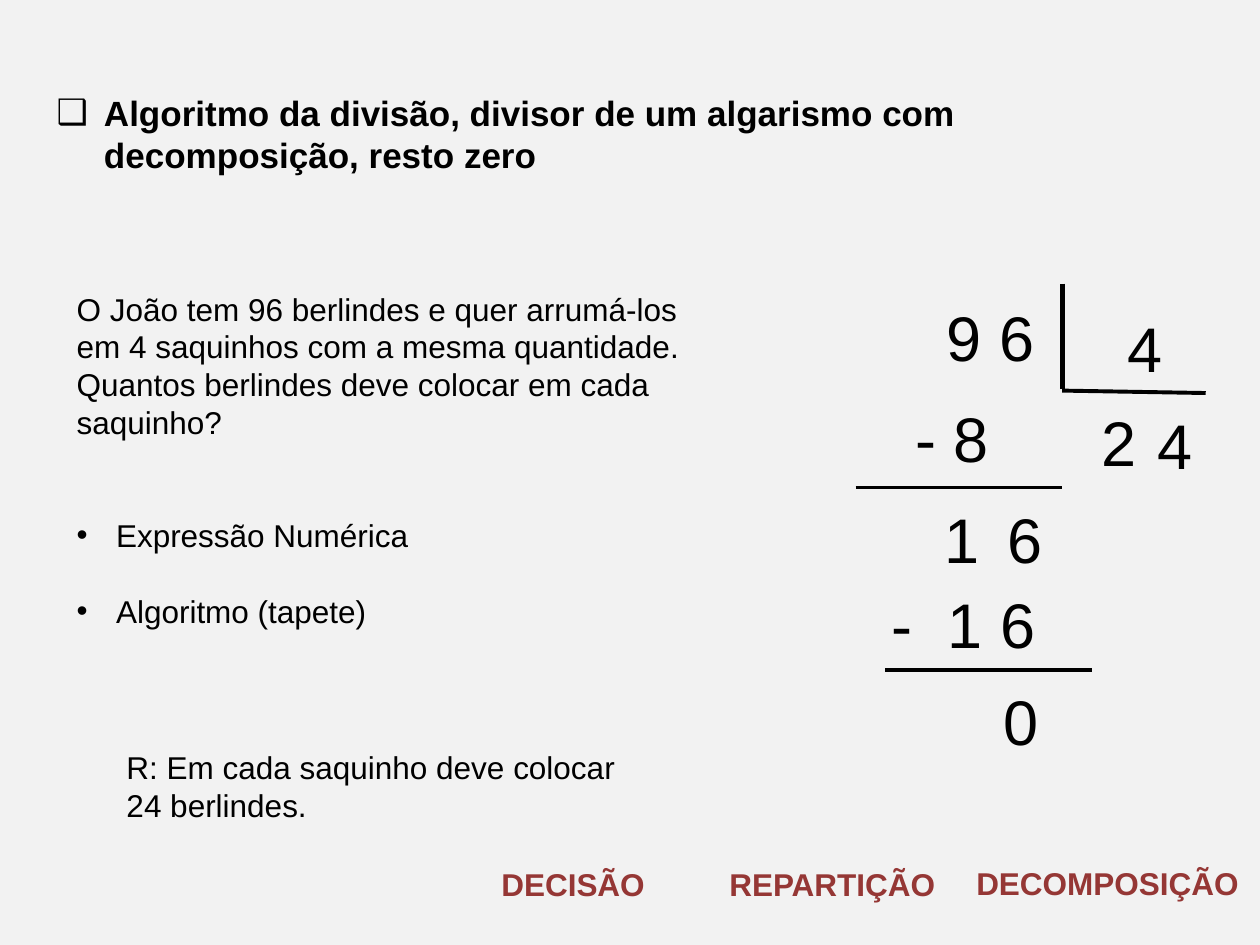
from lxml.etree import SubElement
from pptx import Presentation
from pptx.dml.color import RGBColor
from pptx.enum.shapes import MSO_CONNECTOR as Connector
from pptx.oxml.ns import qn
from pptx.util import Pt

COLORS = {"background": "F2F2F2", "text": "000000", "phase": "953735"}
FONT = "Arial"
BLANK_LINE = 21.5

# Digits of the division: text, left, top
DIGITS = [
    ("9 6", 534, 167), ("4", 637, 173.5),
    ("- 8", 516, 224.6), ("2", 622.6, 227), ("4", 654.5, 229),
    ("1", 532.5, 282.3), ("6", 568.4, 282.3),
    ("-", 502.5, 331.2), ("1 6", 534.5, 331.2),
    ("0", 566.3, 386.6),
]
# Rules of the division: start x, start y, end x, end y, width
RULES = [
    (607, 162, 607, 222.5, 3),
    (607, 223.2, 689, 224.6, 2.25),
    (489, 278.6, 607, 278.6, 2.25),
    (506, 383, 624, 383, 2.25),
]
# Phases: text, left, top, width
PHASES = [
    ("DECISÃO", 279.4, 491, 127.4),
    ("REPARTIÇÃO", 409.7, 491, 141),
    ("DECOMPOSIÇÃO", 550.8, 490.3, 172),
]


def color(name):
    return RGBColor.from_string(COLORS[name])


def add_text_frame(slide, left, top, width, height):
    frame = slide.shapes.add_textbox(Pt(left), Pt(top), Pt(width), Pt(height)).text_frame
    frame.word_wrap = True
    return frame


def write(frame, text, size=18, bold=False, fill="text", bullet=None, indent=0, before=0):
    """Write a paragraph, using the empty first one when it is free."""
    first = frame.paragraphs[0]
    paragraph = first if not first.runs else frame.add_paragraph()
    if bullet:
        properties = paragraph._p.get_or_add_pPr()
        properties.set("marL", str(Pt(indent)))
        properties.set("indent", str(-Pt(indent)))
        SubElement(properties, qn("a:buFont")).set("typeface", FONT)
        SubElement(properties, qn("a:buChar")).set("char", bullet)
    if before:
        paragraph.space_before = Pt(before)
    run = paragraph.add_run()
    run.text = text
    run.font.name = FONT
    run.font.size = Pt(size)
    run.font.bold = bold
    run.font.color.rgb = color(fill)


def add_rule(slide, start_x, start_y, end_x, end_y, width):
    rule = slide.shapes.add_connector(
        Connector.STRAIGHT, Pt(start_x), Pt(start_y), Pt(end_x), Pt(end_y))
    rule.line.color.rgb = color("text")
    rule.line.width = Pt(width)
    SubElement(rule._element.spPr, qn("a:effectLst"))


def add_problem(slide):
    frame = add_text_frame(slide, 36.7, 162, 373, 225.4)
    write(frame, "O João tem 96 berlindes e quer arrumá-los")
    write(frame, "em 4 saquinhos com a mesma quantidade.")
    write(frame, "Quantos berlindes deve colocar em cada saquinho?")
    write(frame, "Expressão Numérica", bullet="•", indent=22.5, before=2 * BLANK_LINE)
    write(frame, "Algoritmo (tapete)", bullet="•", indent=22.5, before=BLANK_LINE)


def add_division(slide):
    for text, left, top in DIGITS:
        write(add_text_frame(slide, left, top, 72, 51), text, size=36)
    for rule in RULES:
        add_rule(slide, *rule)


def main():
    presentation = Presentation()
    presentation.slide_width, presentation.slide_height = Pt(720), Pt(540)
    slide = presentation.slides.add_slide(presentation.slide_layouts[6])
    slide.background.fill.solid()
    slide.background.fill.fore_color.rgb = color("background")

    # Title
    write(add_text_frame(slide, 25.3, 49, 635, 55.4),
          "Algoritmo da divisão, divisor de um algarismo com decomposição, resto zero",
          size=20, bold=True, bullet="❑", indent=27)

    # Problem, worked division and answer
    add_problem(slide)
    add_division(slide)
    write(add_text_frame(slide, 65.2, 424, 317.5, 51),
          "R: Em cada saquinho deve colocar 24 berlindes.")

    # Phases of the algorithm
    for text, left, top, width in PHASES:
        write(add_text_frame(slide, left, top, width, 29), text, bold=True, fill="phase")

    presentation.save("out.pptx")


if __name__ == "__main__":
    main()
